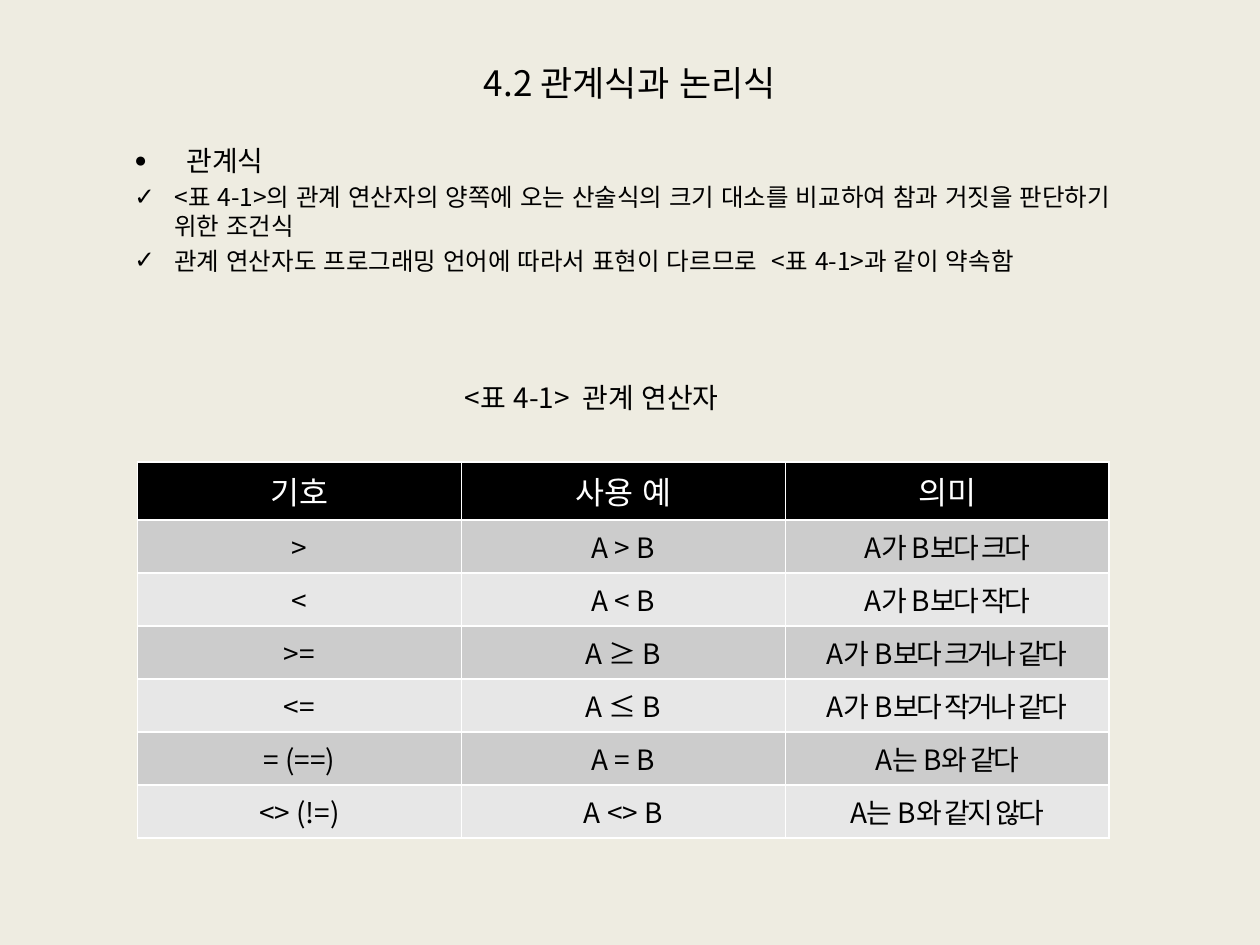
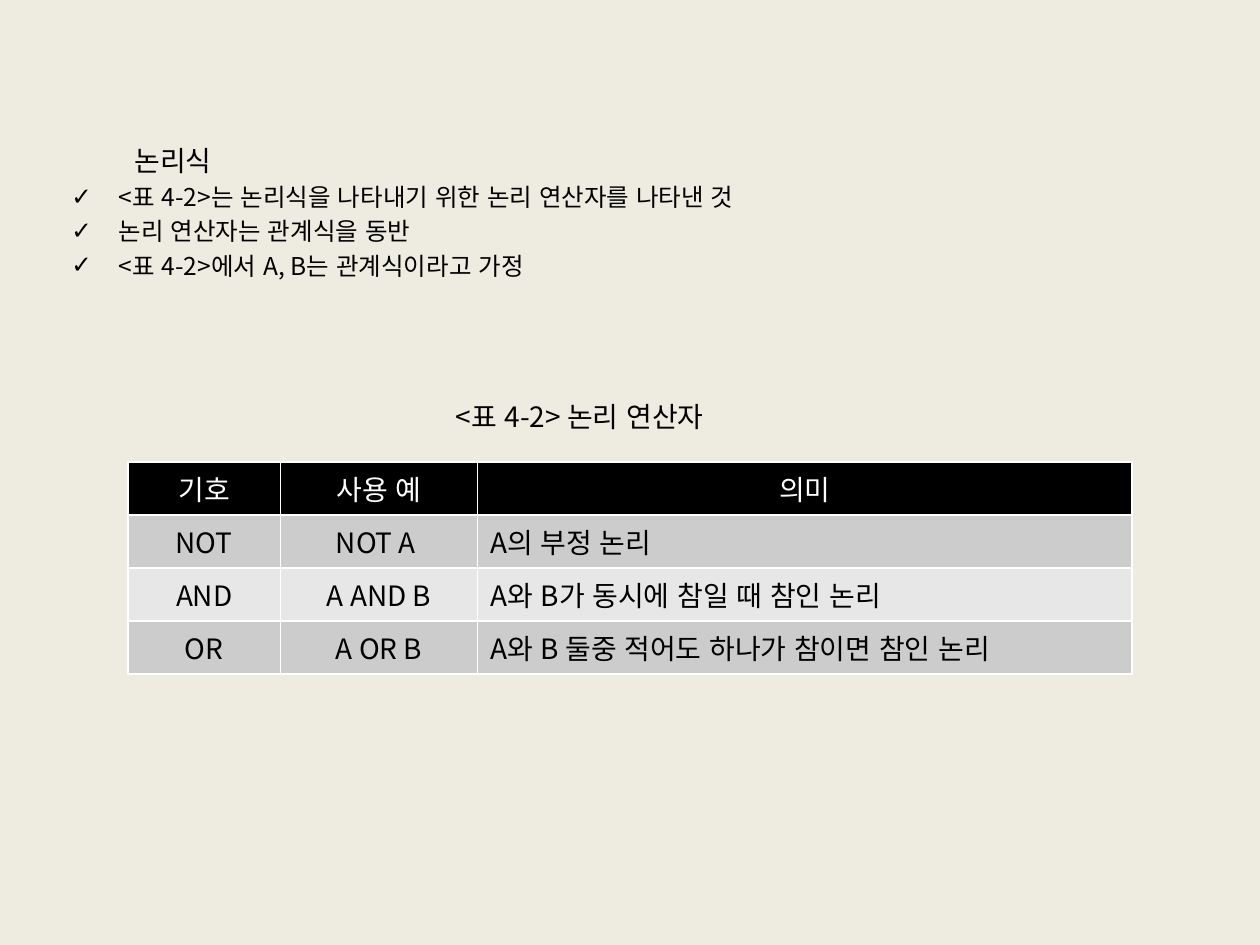
from lxml import etree
from pptx import Presentation
from pptx.dml.color import RGBColor
from pptx.enum.text import MSO_ANCHOR, MSO_AUTO_SIZE, PP_ALIGN
from pptx.oxml.ns import qn
from pptx.util import Pt

LEFT, CENTER = PP_ALIGN.LEFT, PP_ALIGN.CENTER
TOP, MIDDLE = MSO_ANCHOR.TOP, MSO_ANCHOR.MIDDLE
FIT_SHAPE = MSO_AUTO_SIZE.SHAPE_TO_FIT_TEXT

FONT = "Noto Sans CJK KR"
COLORS = {"paper": "EEECE1", "ink": "000000", "line": "FFFFFF",
          "header": "000000", "header_text": "FFFFFF",
          "odd": "CCCCCC", "even": "E7E7E7"}
ROW_HEIGHT = 30.3
TABLE_TOP = 264
CHECK = ("✓", 100)
DOT = ("●", 75)


def rgb(name):
    return RGBColor.from_string(COLORS[name])


class Deck:
    def __init__(self):
        self.prs = Presentation()
        self.prs.slide_width, self.prs.slide_height = Pt(720), Pt(540)
        self.s = None

    def slide(self):
        self.s = self.prs.slides.add_slide(self.prs.slide_layouts[6])
        fill = self.s.background.fill
        fill.solid()
        fill.fore_color.rgb = rgb("paper")

    def run(self, p, text, size, color="ink", tracking=0):
        r = p.add_run()
        r.text = text
        r.font.size = Pt(size)
        r.font.color.rgb = rgb(color)
        r.font.name = FONT
        rPr = r.font._element
        rPr.set("lang", "ko-KR")
        rPr.set("kern", "0")
        etree.SubElement(rPr, qn("a:ea")).set("typeface", FONT)
        if tracking:
            rPr.set("spc", str(round(tracking * 100)))

    def box(self, left, top, width, height, anchor=TOP, wrap=True):
        sp = self.s.shapes.add_textbox(Pt(left), Pt(top), Pt(width), Pt(height))
        tf = sp.text_frame
        tf.word_wrap = wrap
        tf.vertical_anchor = anchor
        return tf

    def title(self, text):
        p = self.box(36, 21.2, 648, 51.8, MIDDLE).paragraphs[0]
        p.alignment = CENTER
        self.run(p, text, 20)

    def caption(self, text, left, top, width):
        tf = self.box(left, top, width, 26.6, wrap=False)
        tf.auto_size = FIT_SHAPE
        self.run(tf.paragraphs[0], text, 16)

    def body(self, items):
        tf = self.box(33.8, 78.5, 632, 95.8)
        for i, (text, size, margin, indent, bullet) in enumerate(items):
            p = tf.add_paragraph() if i else tf.paragraphs[0]
            p.space_before = Pt(size * 0.2)
            pPr = p._p.get_or_add_pPr()
            pPr.set("marL", str(Pt(margin)))
            pPr.set("indent", str(Pt(indent)))
            if bullet:
                self.bullet(pPr, *bullet)
            self.run(p, text, size)

    def bullet(self, pPr, char, percent):
        etree.SubElement(pPr, qn("a:buSzPct")).set("val", str(percent * 1000))
        etree.SubElement(pPr, qn("a:buFont")).set("typeface", "Arial")
        etree.SubElement(pPr, qn("a:buChar")).set("char", char)

    def borders(self, cell):
        tcPr = cell._tc.get_or_add_tcPr()
        for i, side in enumerate("LRTB"):
            ln = etree.Element(qn(f"a:ln{side}"), w=str(Pt(1)))
            fill = etree.SubElement(ln, qn("a:solidFill"))
            etree.SubElement(fill, qn("a:srgbClr")).set("val", COLORS["line"])
            tcPr.insert(i, ln)

    def table(self, left, widths, rows, header_size, header_height,
              last_align, last_tracking=0):
        heights = [header_height] + [ROW_HEIGHT] * (len(rows) - 1)
        frame = self.s.shapes.add_table(
            len(rows), len(widths), Pt(left), Pt(TABLE_TOP),
            Pt(sum(widths)), Pt(sum(heights)))
        tbl = frame.table
        tbl.first_row = tbl.horz_banding = False
        for col, width in zip(tbl.columns, widths):
            col.width = Pt(width)
        for i, row in enumerate(rows):
            tbl.rows[i].height = Pt(heights[i])
            band = "odd" if i % 2 else "even"
            for j, text in enumerate(row):
                cell = tbl.cell(i, j)
                cell.fill.solid()
                cell.fill.fore_color.rgb = rgb(band if i else "header")
                self.borders(cell)
                last = i > 0 and j == len(row) - 1
                p = cell.text_frame.paragraphs[0]
                p.alignment = last_align if last else CENTER
                self.run(p, text, 16 if i else header_size,
                         "ink" if i else "header_text",
                         last_tracking if last else 0)


def main():
    header = ("기호", "사용 예", "의미")
    deck = Deck()

    deck.slide()
    deck.title("4.2 관계식과 논리식")
    deck.body([
        ("관계식", 16, 65.8, -29.8, DOT),
        ("<표 4-1>의 관계 연산자의 양쪽에 오는 산술식의 크기 대소를 비교하여 "
         "참과 거짓을 판단하기 위한 조건식", 14, 58.8, -22.8, CHECK),
        ("관계 연산자도 프로그래밍 언어에 따라서 표현이 다르므로  "
         "<표 4-1>과 같이 약속함", 14, 58.8, -22.8, CHECK),
    ])
    deck.table(78.6, [185.1] * 3, [
        header,
        (">", "A > B", "A가 B보다 크다"),
        ("<", "A < B", "A가 B보다 작다"),
        (">=", "A ≥ B", "A가 B보다 크거나 같다"),
        ("<=", "A ≤ B", "A가 B보다 작거나 같다"),
        ("= (==)", "A = B", "A는 B와 같다"),
        ("<> (!=)", "A <> B", "A는 B와 같지 않다"),
    ], 18, 33.2, CENTER, -1.5)
    deck.caption("<표 4-1>  관계 연산자", 258.5, 213.8, 181.4)

    deck.slide()
    deck.body([
        ("논리식", 16, 58.5, -22.5, None),
        ("<표 4-2>는 논리식을 나타내기 위한 논리 연산자를 나타낸 것",
         14, 27, -27, CHECK),
        ("논리 연산자는 관계식을 동반", 14, 27, -27, CHECK),
        ("<표 4-2>에서 A, B는 관계식이라고 가정", 14, 27, -27, CHECK),
    ])
    deck.table(73.2, [87, 112.8, 374], [
        header,
        ("NOT", "NOT A ", "A의 부정 논리"),
        ("AND", "A AND B", "A와 B가 동시에 참일 때 참인 논리"),
        ("OR", "A OR B", "A와 B 둘중 적어도 하나가 참이면 참인 논리"),
    ], 16, ROW_HEIGHT, LEFT)
    deck.caption("<표 4-2> 논리 연산자", 253.4, 224.6, 175.7)

    deck.prs.save("out.pptx")


if __name__ == "__main__":
    main()
